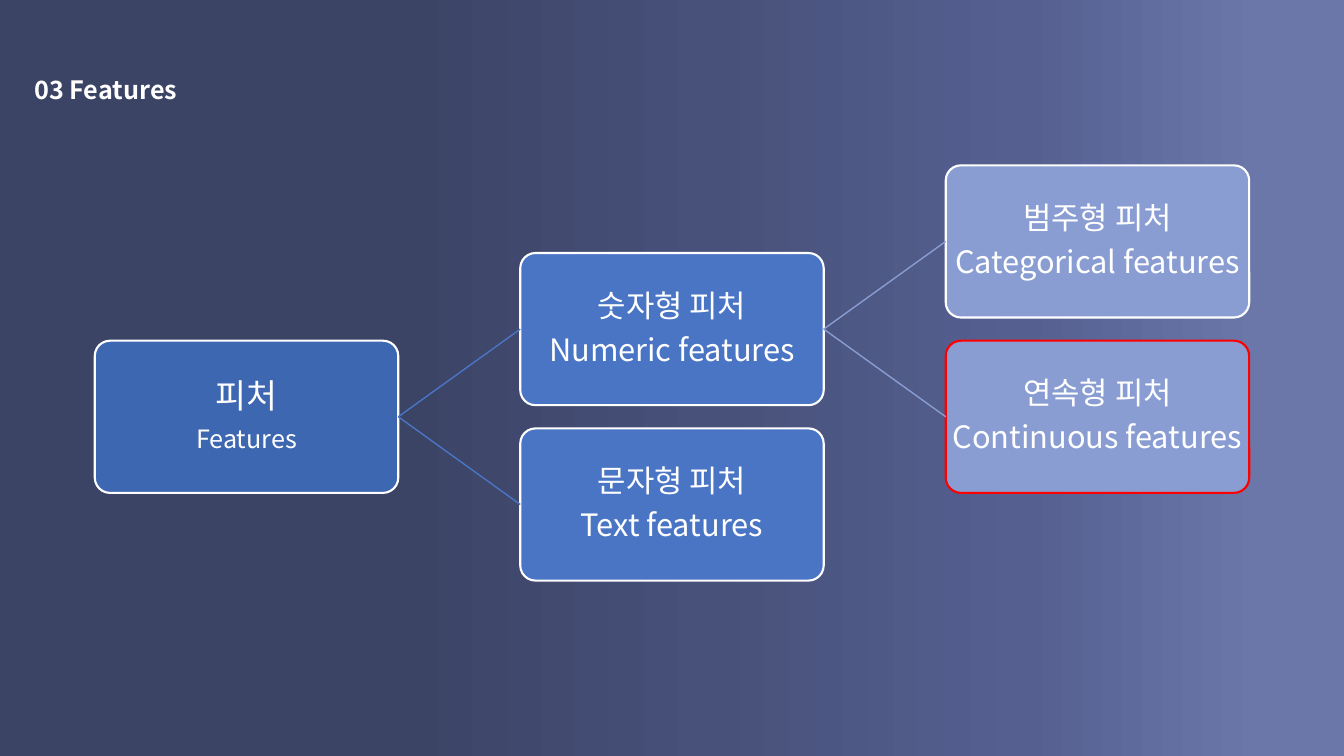
from lxml import etree
from copy import deepcopy
from pptx import Presentation
from pptx.dml.color import RGBColor
from pptx.enum.shapes import MSO_CONNECTOR, MSO_SHAPE
from pptx.enum.text import MSO_ANCHOR, PP_ALIGN
from pptx.oxml.ns import qn
from pptx.util import Inches, Pt

ROUNDED = MSO_SHAPE.ROUNDED_RECTANGLE
STRAIGHT = MSO_CONNECTOR.STRAIGHT
TOP, MIDDLE = MSO_ANCHOR.TOP, MSO_ANCHOR.MIDDLE
LEFT, CENTER = PP_ALIGN.LEFT, PP_ALIGN.CENTER
LEFT_SITE, RIGHT_SITE = 1, 3
TITLE_ONLY = 5

FONT = "Noto Sans CJK KR"
COLORS = {
    "white": "FFFFFF", "red": "FF0000",
    "root": "3E67B2", "kind": "4A75C5", "subkind": "899DD2",
}
BACKDROP = [(0.30, "3C4466"), (0.53, "475179"), (0.76, "556091"), (0.94, "6B77A9")]
BOX_WIDTH, BOX_HEIGHT = 3.01, 1.51
FIRST_LEFT, COLUMN_STEP = 0.94, 4.22
FIRST_TOP, ROW_STEP = 1.64, 0.87

NODES = [
    ("root", None, 0, 2, "white", [("피처", 24), ("Features", 18)]),
    ("numeric", "root", 1, 1, "white", [("숫자형 피처", 22), ("Numeric features", 22)]),
    ("categorical", "numeric", 2, 0, "white", [("범주형 피처", 22), ("Categorical features", 22)]),
    ("continuous", "numeric", 2, 2, "red", [("연속형 피처", 22), ("Continuous features", 22)]),
    ("text", "root", 1, 3, "white", [("문자형 피처", 22), ("Text features", 22)]),
]
LEVEL_COLORS = ["root", "kind", "subkind"]


def apply(target, **values):
    """Set each named value as an attribute of the target."""
    for name, value in values.items():
        setattr(target, name, value)


class FeaturePage:
    """Hold the style and the slide that the feature tree is drawn on."""

    def __init__(self, deck):
        self.page = deck.slides.add_slide(deck.slide_layouts[TITLE_ONLY])

    def color(self, name):
        """Return the named colour."""
        return RGBColor.from_string(COLORS[name])

    def backdrop(self, stops):
        """Fill the background with a left-to-right gradient."""
        fill = self.page.background.fill
        fill.gradient()
        fill.gradient_angle = 0
        stop_list = self.page.element.find(".//" + qn("a:gsLst"))
        while len(stop_list) < len(stops):
            stop_list.append(deepcopy(stop_list[0]))
        for stop, (position, shade) in zip(fill.gradient_stops, stops):
            stop.position = position
            stop.color.rgb = RGBColor.from_string(shade)

    def add_span(self, para, text, size, bold=False):
        """Add one white span of text to a paragraph."""
        span = para.add_run()
        span.text = text
        apply(span.font, name=FONT, size=Pt(size), bold=bold)
        span.font.color.rgb = self.color("white")
        properties = span._r.get_or_add_rPr()
        etree.SubElement(properties, qn("a:ea"), typeface=FONT)

    def title(self, text):
        """Place the heading in the title placeholder."""
        box = self.page.shapes.title
        apply(box, left=Inches(0.24), top=Inches(0.39),
              width=Inches(3.22), height=Inches(0.7))
        apply(box.text_frame, vertical_anchor=TOP, word_wrap=True)
        para = box.text_frame.paragraphs[0]
        apply(para, alignment=LEFT, line_spacing=2.0, space_before=Pt(10))
        self.add_span(para, text, 18, bold=True)

    def node(self, column, row, border, lines):
        """Draw one rounded box of the tree with its centred lines."""
        box = self.page.shapes.add_shape(
            ROUNDED,
            Inches(FIRST_LEFT + column * COLUMN_STEP),
            Inches(FIRST_TOP + row * ROW_STEP),
            Inches(BOX_WIDTH), Inches(BOX_HEIGHT))
        box.adjustments[0] = 0.1
        box.shadow.inherit = False
        box.fill.solid()
        box.fill.fore_color.rgb = self.color(LEVEL_COLORS[column])
        box.line.color.rgb = self.color(border)
        box.line.width = Pt(1.5)
        frame = box.text_frame
        inset = Inches(0.02)
        apply(frame, word_wrap=True, vertical_anchor=MIDDLE, margin_left=inset,
              margin_right=inset, margin_top=inset, margin_bottom=inset)
        for index, (text, size) in enumerate(lines):
            para = frame.add_paragraph() if index else frame.paragraphs[0]
            apply(para, alignment=CENTER, line_spacing=0.9, space_after=Pt(0))
            spacing = para._p.pPr.find(qn("a:spcAft"))
            spacing.remove(spacing[0])
            etree.SubElement(spacing, qn("a:spcPct"), val="35000")
            self.add_span(para, text, size)
        return box

    def branch(self, parent, child, column):
        """Join a parent box to a child box."""
        link = self.page.shapes.add_connector(STRAIGHT, 0, 0, 0, 0)
        link.begin_connect(parent, RIGHT_SITE)
        link.end_connect(child, LEFT_SITE)
        link.line.color.rgb = self.color(LEVEL_COLORS[column])
        link.line.width = Pt(1)
        etree.SubElement(link._element.spPr, qn("a:effectLst"))


def main():
    """Build the deck and save it."""
    deck = Presentation()
    apply(deck, slide_width=Inches(13.33), slide_height=Inches(7.5))
    features = FeaturePage(deck)
    features.backdrop(BACKDROP)
    features.title("03 Features")
    boxes = {}
    for name, parent, column, row, border, lines in NODES:
        boxes[name] = features.node(column, row, border, lines)
        if parent:
            features.branch(boxes[parent], boxes[name], column)
    deck.save("out.pptx")


if __name__ == "__main__":
    main()
